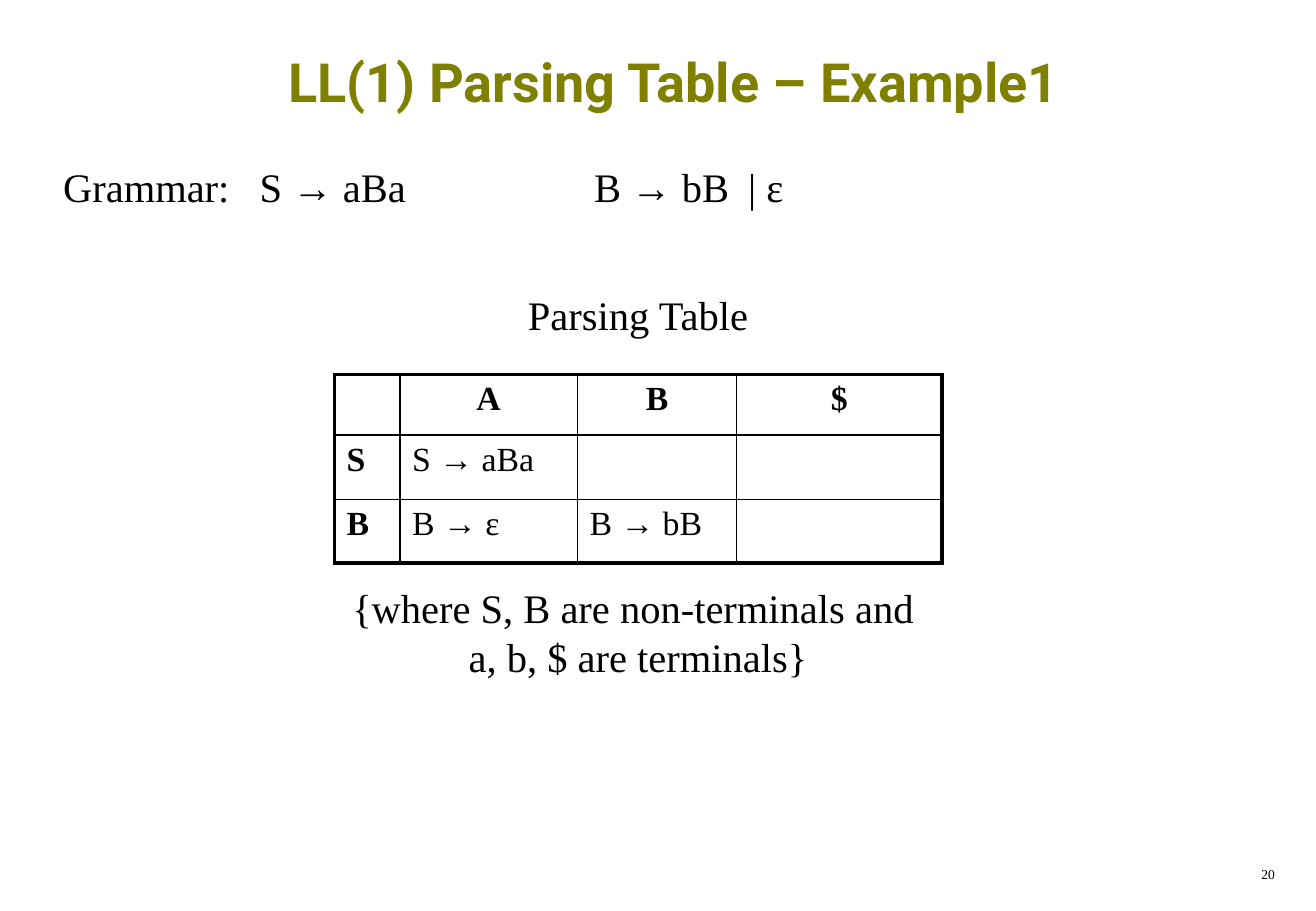
from pptx import Presentation
from pptx import util as u
from pptx.dml.color import RGBColor
from pptx.enum import text
from pptx.oxml.ns import qn
from lxml import etree

BLACK = "000000"
SERIF = "Times New Roman"
THICK, THIN = 2.25, 1
LEFT, CENTER, RIGHT = text.PP_ALIGN.LEFT, text.PP_ALIGN.CENTER, text.PP_ALIGN.RIGHT

HEADS = ["", "A", "B", "$"]
RULES = [["S", "S → aBa", "", ""],
         ["B", "B → ε", "B → bB", ""]]
WIDTHS = [1.37, 3.71, 3.33, 4.29]
HEIGHTS = [1.27, 1.35, 1.32]


def color(code):
    return RGBColor.from_string(code)


def style(para, size, font=SERIF, ink=BLACK, bold=False, align=LEFT):
    para.alignment = align
    for run in para.runs:
        run.font.size = u.Pt(size)
        run.font.name = font
        run.font.bold = bold
        run.font.color.rgb = color(ink)


def label(slide, box, words, size, **look):
    """Add a wrapped text box of one paragraph and return its frame."""
    frame = slide.shapes.add_textbox(*map(u.Cm, box)).text_frame
    frame.word_wrap = True
    frame.text = words
    style(frame.paragraphs[0], size, **look)
    return frame


def title(slide, box):
    frame = label(slide, box, "LL(1) Parsing Table – Example1", 32,
                  font="Roboto", ink="808000", bold=True, align=CENTER)
    frame.vertical_anchor = text.MSO_ANCHOR.MIDDLE


def grammar(slide, box):
    frame = label(slide, box, "Grammar:\tS → aBa\tB → bB\t| ε", 24)
    para = frame.paragraphs[0]
    para.line_spacing = 0.9
    props = para._p.get_or_add_pPr()
    stops = etree.SubElement(props, qn("a:tabLst"))
    for stop in (4.11, 11.1, 14.32):
        etree.SubElement(stops, qn("a:tab"), pos=str(u.Cm(stop)), algn="l")


def border(cell, widths):
    """Draw the left, right, top and bottom edges in the given points."""
    props = cell._tc.get_or_add_tcPr()
    for side, width in zip("LRTB", widths):
        line = etree.SubElement(props, qn("a:ln" + side), w=str(u.Pt(width)))
        fill = etree.SubElement(line, qn("a:solidFill"))
        etree.SubElement(fill, qn("a:srgbClr"), val=BLACK)


def table(slide, box):
    rows = [HEADS] + RULES
    end, base = len(HEADS) - 1, len(rows) - 1
    grid = slide.shapes.add_table(len(rows), len(HEADS), *map(u.Cm, box)).table
    grid.first_row = grid.horz_banding = False
    for col, width in zip(grid.columns, WIDTHS):
        col.width = u.Cm(width)
    for row, height in zip(grid.rows, HEIGHTS):
        row.height = u.Cm(height)
    for r, row in enumerate(rows):
        for c, words in enumerate(row):
            cell = grid.cell(r, c)
            edges = (c == 0, c == end, r == 0, r == base)
            border(cell, [THICK if edge else THIN for edge in edges])
            cell.fill.background()
            cell.text = words
            style(cell.text_frame.paragraphs[0], 20, bold=r == 0 or c == 0,
                  align=CENTER if r == 0 else LEFT)


def parsing(slide, box):
    """Stack the caption, the table and the note in the box."""
    x, y, w, h = box
    label(slide, (x, y, w, 1.27), "Parsing Table", 24, align=CENTER)
    table(slide, (x, y + 1.9, w, sum(HEIGHTS)))
    label(slide, (x, y + h - 2.31, w, 2.31),
          "{where S, B are non-terminals and \va, b, $ are terminals}",
          24, align=CENTER)


def main():
    deck = Presentation()
    deck.slide_width, deck.slide_height = u.Cm(27.51), u.Cm(19.05)
    slide = deck.slides.add_slide(deck.slide_layouts[6])
    slide.background.fill.solid()
    slide.background.fill.fore_color.rgb = color("FFFFFF")
    title(slide, (1.07, 0.43, 26.04, 2.54))
    grammar(slide, (1.07, 3.38, 26.04, 1.47))
    parsing(slide, (6.99, 5.93, 12.7, 8.45))
    label(slide, (21.16, 17.98, 5.74, 0.64), "20", 8, align=RIGHT)
    deck.save("out.pptx")


if __name__ == "__main__":
    main()
